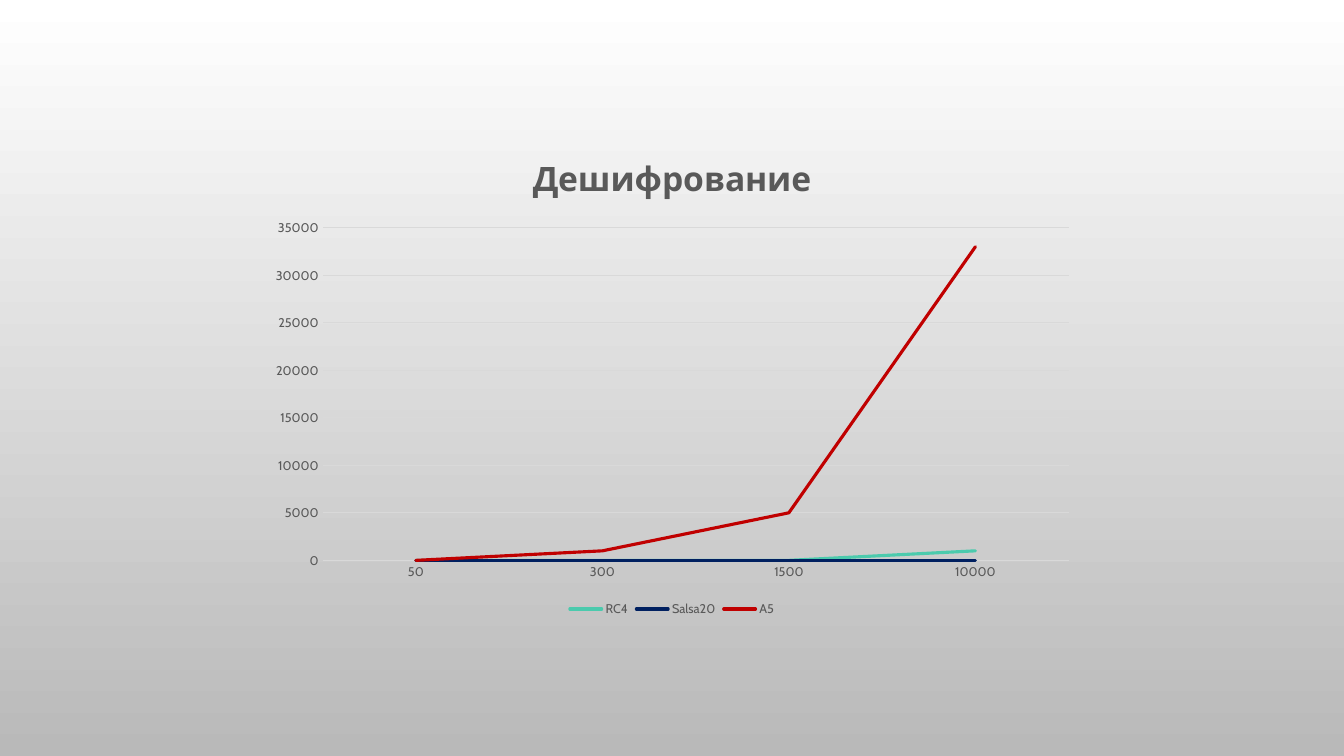
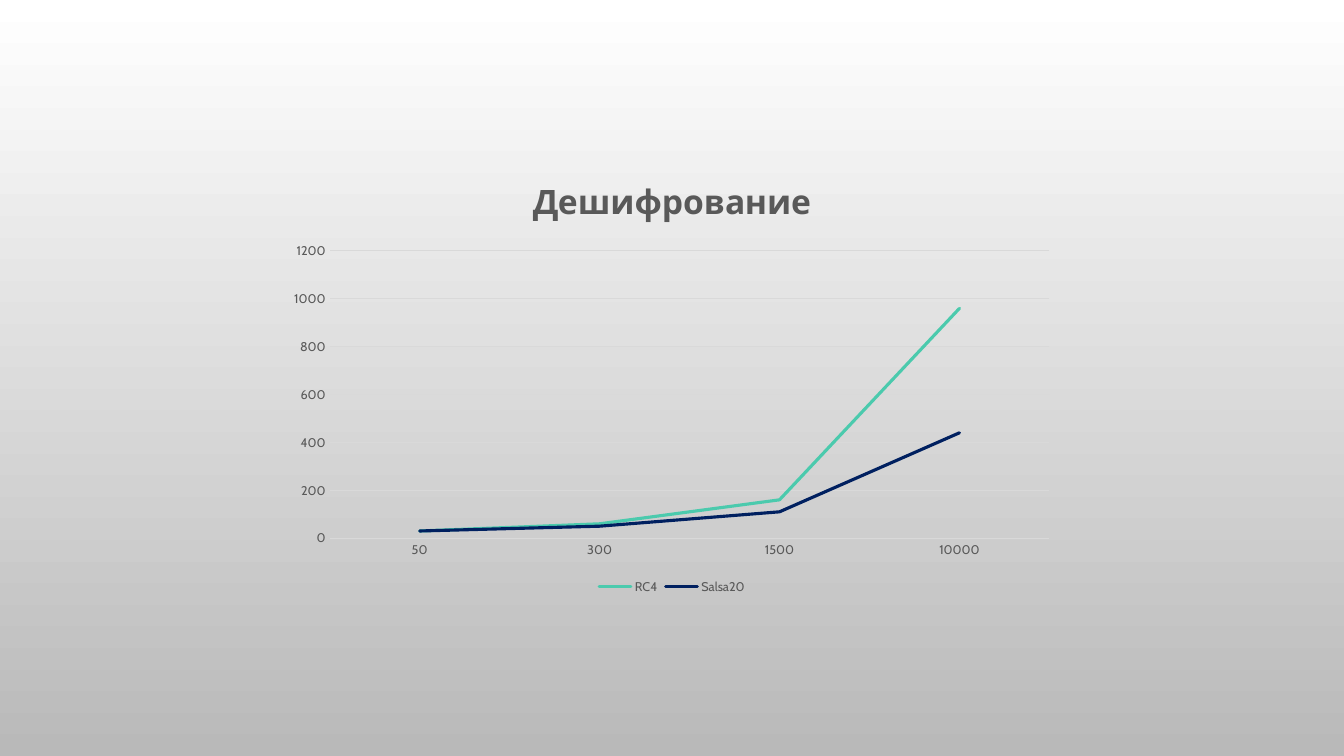
from dataclasses import dataclass

from lxml.etree import SubElement as Sub
from pptx import Presentation
from pptx.chart.data import CategoryChartData as Data
from pptx.dml.color import RGBColor as Rgb
from pptx.enum.chart import (XL_CHART_TYPE as Kind, XL_LEGEND_POSITION as Spot,
                             XL_TICK_MARK as Tick)
from pptx.oxml.ns import qn
from pptx.util import Inches, Pt


@dataclass(frozen=True)
class Theme:
    """Colours, font and type sizes of the deck."""
    font: str = "Cabin"
    text: str = "595959"
    rule: str = "D9D9D9"
    top: str = "FFFFFF"
    base: str = "B9B9B9"
    lines: tuple = ("4BCAAD", "002060", "C00000")
    head: int = 24
    label: int = 9
    thin: float = 0.75
    thick: float = 2.25


LOOK = Theme()
TITLE = "Дешифрование"
SIZES = ("50", "300", "1500", "10000")
NAMES = ("RC4", "Salsa20", "A5")


def style(font, size, bold=False):
    """Apply the deck's font and text colour."""
    font.name = LOOK.font
    font.size = Pt(size)
    font.bold = bold
    font.color.rgb = Rgb.from_string(LOOK.text)


def stroke(line, color, width):
    """Draw a solid line."""
    line.color.rgb = Rgb.from_string(color)
    line.width = Pt(width)


def place(node, index, **parts):
    """Give a chart part a manual layout, in fractions of the chart."""
    for old in node.findall(qn("c:layout")):
        node.remove(old)
    frame = node.makeelement(qn("c:layout"))
    node.insert(index, frame)
    manual = Sub(frame, qn("c:manualLayout"))
    if "w" in parts:
        Sub(manual, qn("c:layoutTarget")).set("val", "inner")
    for key in ("x", "y"):
        Sub(manual, qn(f"c:{key}Mode")).set("val", "edge")
    for key, part in parts.items():
        Sub(manual, qn(f"c:{key}")).set("val", f"{part:.4f}")


def head(chart, wide, high):
    """Set the chart title, centred near the top."""
    title = chart.chart_title
    run = title.text_frame.paragraphs[0].add_run()
    run.text = TITLE
    style(run.font, LOOK.head, True)
    title.include_in_layout = False
    place(title._element, 1, x=(1 - 2.88 / wide) / 2, y=0.14 / high)


def axes(chart, peak, step):
    """Format both axes and the grid."""
    cat, val = chart.category_axis, chart.value_axis
    for axis in (cat, val):
        axis.major_tick_mark = axis.minor_tick_mark = Tick.NONE
        style(axis.tick_labels.font, LOOK.label)
    stroke(cat.format.line, LOOK.rule, LOOK.thin)
    val.format.line.fill.background()
    val.has_major_gridlines = True
    stroke(val.major_gridlines.format.line, LOOK.rule, LOOK.thin)
    val.minimum_scale, val.maximum_scale, val.major_unit = 0, peak, step


def legend(chart):
    """Show the legend under the plot."""
    chart.has_legend = True
    chart.legend.position = Spot.BOTTOM
    chart.legend.include_in_layout = False
    style(chart.legend.font, LOOK.label)


def trace(plot):
    """Format the data lines with round ends."""
    plot.vary_by_categories = False
    for row, color in zip(plot.series, LOOK.lines):
        row.smooth = False
        stroke(row.format.line, color, LOOK.thick)
        row._element.find(qn("c:spPr")).find(qn("a:ln")).set("cap", "rnd")


def graph(slide, box, rows, peak, step, left):
    """Place a line chart in the box, its plot inset from the edges."""
    data = Data(number_format="0")
    data.categories = SIZES
    for name, nums in zip(NAMES, rows):
        data.add_series(name, nums)
    chart = slide.shapes.add_chart(Kind.LINE, *map(Inches, box), data).chart
    style(chart.font, LOOK.label)
    wide, high = box[2:]
    head(chart, wide, high)
    axes(chart, peak, step)
    legend(chart)
    trace(chart.plots[0])
    place(chart._chartSpace.chart.plotArea, 0, x=left / wide, y=0.92 / high,
          w=1 - (left + 0.16) / wide, h=1 - 1.52 / high)


def backdrop(master):
    """Fill the master with the vertical gradient."""
    fill = master.background.fill
    fill.gradient()
    fill.gradient_angle = 270
    for stop, color in zip(fill.gradient_stops, (LOOK.top, LOOK.base)):
        stop.color.rgb = Rgb.from_string(color)


def main():
    """Build and save the deck."""
    deck = Presentation()
    deck.slide_width, deck.slide_height = Inches(13.33), Inches(7.5)
    backdrop(deck.slide_master)
    blank = deck.slide_layouts[6]
    pages = (
        ((2.57, 1.34, 8.19, 4.82),
         ((0, 0, 0, 1000), (0, 0, 0, 0), (0, 1000, 5000, 33000)),
         35000, 5000, 0.63),
        ((2.76, 1.57, 7.81, 4.37),
         ((30, 60, 160, 960), (30, 50, 110, 440)),
         1200, 200, 0.51),
    )
    for page in pages:
        graph(deck.slides.add_slide(blank), *page)
    deck.save("out.pptx")


if __name__ == "__main__":
    main()
